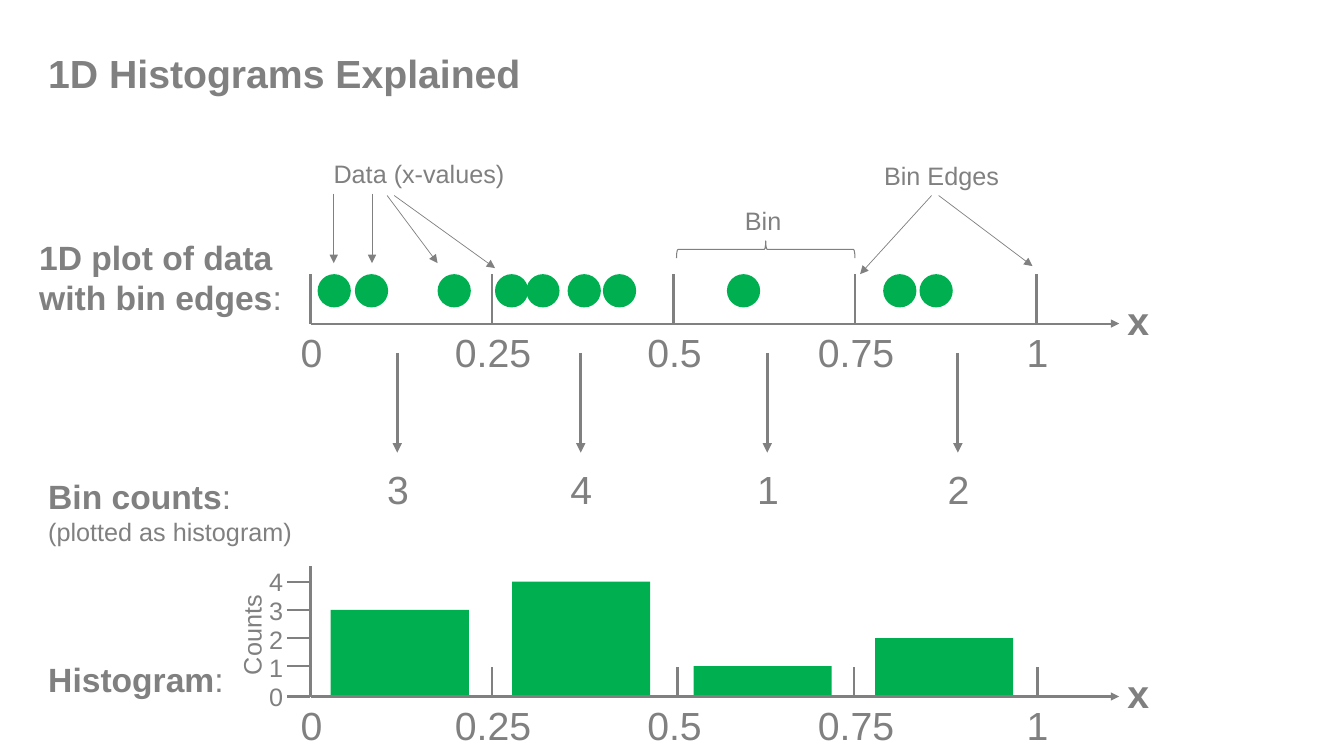
from lxml.etree import SubElement
from pptx import Presentation
from pptx.dml.color import RGBColor
from pptx.enum.shapes import MSO_CONNECTOR, MSO_SHAPE
from pptx.enum.text import MSO_AUTO_SIZE, PP_ALIGN
from pptx.oxml.ns import qn
from pptx.util import Inches, Pt

GRAY = RGBColor(0x80, 0x80, 0x80)
GREEN = RGBColor(0x00, 0xB0, 0x50)
FONT = "Arial"

BIN_WIDTH = 1.8
EDGE_LABELS = [("0", 0.42), ("0.25", 1.1), ("0.5", 0.86), ("0.75", 1.08), ("1", 0.42)]
COUNTS = [3, 4, 1, 2]


def add_text(page, left, top, width, height, lines, align=PP_ALIGN.LEFT, wrap=True):
    """Each line is (text, size, bold, plain ending)."""
    box = page.shapes.add_textbox(Inches(left), Inches(top), Inches(width), Inches(height))
    frame = box.text_frame
    frame.word_wrap = wrap
    frame.auto_size = MSO_AUTO_SIZE.SHAPE_TO_FIT_TEXT
    for index, (text, size, bold, ending) in enumerate(lines):
        para = frame.paragraphs[0] if index == 0 else frame.add_paragraph()
        para.alignment = align
        para.font.name, para.font.size = FONT, Pt(size)
        para.font.bold = bold
        para.font.color.rgb = GRAY
        para.add_run().text = text
        if ending:
            span = para.add_run()
            span.text = ending
            span.font.bold = False
    return box


def add_line(page, start, end, weight=1.5, arrow=False):
    line = page.shapes.add_connector(
        MSO_CONNECTOR.STRAIGHT, *(Inches(value) for value in (*start, *end)))
    line.line.color.rgb = GRAY
    line.line.width = Pt(weight)
    if arrow:
        SubElement(line.line._get_or_add_ln(), qn("a:tailEnd"), type="triangle")
    SubElement(line._element.spPr, qn("a:effectLst"))


def add_green(page, kind, left, top, width, height):
    shape = page.shapes.add_shape(
        kind, Inches(left), Inches(top), Inches(width), Inches(height))
    shape.shadow.inherit = False
    shape.fill.solid()
    shape.fill.fore_color.rgb = GREEN
    shape.line.fill.background()


def add_axis(page, left, base, ticks, tick_height, name_rise):
    """Horizontal x axis whose origin is at (left, base)."""
    add_line(page, (left, base), (left + 8.02, base), arrow=True)
    for offset in ticks:
        add_line(page, (left + offset, base - tick_height), (left + offset, base))
    for index, (label, width) in enumerate(EDGE_LABELS):
        center = left + 0.01 + index * BIN_WIDTH
        add_text(page, center - width / 2, base, width, 0.57,
                 [(label, 28, False, "")], PP_ALIGN.CENTER)
    add_text(page, left + 8, base - name_rise, 0.42, 0.57,
             [("x", 28, True, "")], PP_ALIGN.CENTER)


def add_row_titles(page, left, top):
    add_text(page, left, top, 6.29, 0.57, [("1D Histograms Explained", 28, True, "")])
    add_text(page, left - 0.09, top + 1.86, 2.62, 0.91,
             [("1D plot of data with bin edges", 24, True, ":")])
    add_text(page, left, top + 4.23, 2.7, 0.81,
             [("Bin counts", 24, True, ":"), ("(plotted as histogram)", 18, False, "")])
    add_text(page, left, top + 6.05, 1.98, 0.5, [("Histogram", 24, True, ":")])


def add_data_plot(page, left, base):
    add_axis(page, left, base, [index * BIN_WIDTH for index in range(5)], 0.49, 0.32)

    # Data points
    for offset in (0.07, 0.44, 1.26, 1.83, 2.14, 2.55, 2.9, 4.13, 5.68, 6.04):
        add_green(page, MSO_SHAPE.OVAL, left + offset, base - 0.49, 0.33, 0.33)

    # Captions: text, offset, rise, width
    for text, offset, rise, width in (("Data (x-values)", 0.13, 1.69, 1.91),
                                      ("Bin", 4.21, 1.22, 0.57),
                                      ("Bin Edges", 5.59, 1.67, 1.35)):
        add_text(page, left + offset, base - rise, width, 0.4,
                 [(text, 18, False, "")], wrap=False)

    # Caption arrows: start offset and rise, end offset and rise
    for x1, y1, x2, y2 in ((0.23, 1.29, 0.23, 0.6), (0.61, 1.29, 0.61, 0.6),
                           (0.76, 1.27, 1.26, 0.6), (0.83, 1.27, 1.83, 0.55),
                           (6.23, 1.27, 7.16, 0.57), (6.16, 1.27, 5.45, 0.49)):
        add_line(page, (left + x1, base - y1), (left + x2, base - y2), 0.5, arrow=True)

    # Brace over one bin
    brace = page.shapes.add_shape(
        MSO_SHAPE.RIGHT_BRACE, Inches(left + 4.43), Inches(base - 1.62),
        Inches(0.17), Inches(1.77))
    brace.rotation = 270
    brace.shadow.inherit = False
    brace.fill.background()
    brace.line.color.rgb = GRAY
    brace.line.width = Pt(0.75)


def add_bin_counts(page, left, top):
    for count, offset in zip(COUNTS, (0.86, 2.68, 4.53, 6.42)):
        center = left + offset
        add_line(page, (center, top), (center, top + 0.99), 2.25, arrow=True)
        add_text(page, center - 0.2, top + 1.07, 0.42, 0.57, [(str(count), 28, False, "")])


def add_histogram(page, left, base):
    def level(count):
        return base - 0.28 * count - (0.02 if count else 0)

    # Bars
    for index, count in enumerate(COUNTS):
        top = level(count)
        add_green(page, MSO_SHAPE.RECTANGLE, left + 0.2 + index * BIN_WIDTH, top,
                  1.37, base - top)

    # Axes
    add_axis(page, left, base, (1.8, 3.64, 5.39, 7.21), 0.29, 0.32)
    add_line(page, (left, base - 1.29), (left, base))
    for count in range(5):
        add_line(page, (left - 0.01, level(count)), (left - 0.23, level(count)))
        add_text(page, left - 0.51, base - 0.2 - 0.285 * count, 0.42, 0.4,
                 [(str(count), 18, False, "")])
    name = add_text(page, left - 1.09, base - 0.82, 1.01, 0.4, [("Counts", 18, False, "")])
    name.rotation = 270


def main():
    deck = Presentation()
    deck.slide_width, deck.slide_height = Inches(13.33), Inches(7.5)
    page = deck.slides.add_slide(deck.slide_layouts[6])
    add_row_titles(page, 0.38, 0.44)
    add_data_plot(page, 3.08, 3.21)
    add_bin_counts(page, 3.08, 3.5)
    add_histogram(page, 3.08, 6.91)
    deck.save("out.pptx")


if __name__ == "__main__":
    main()
